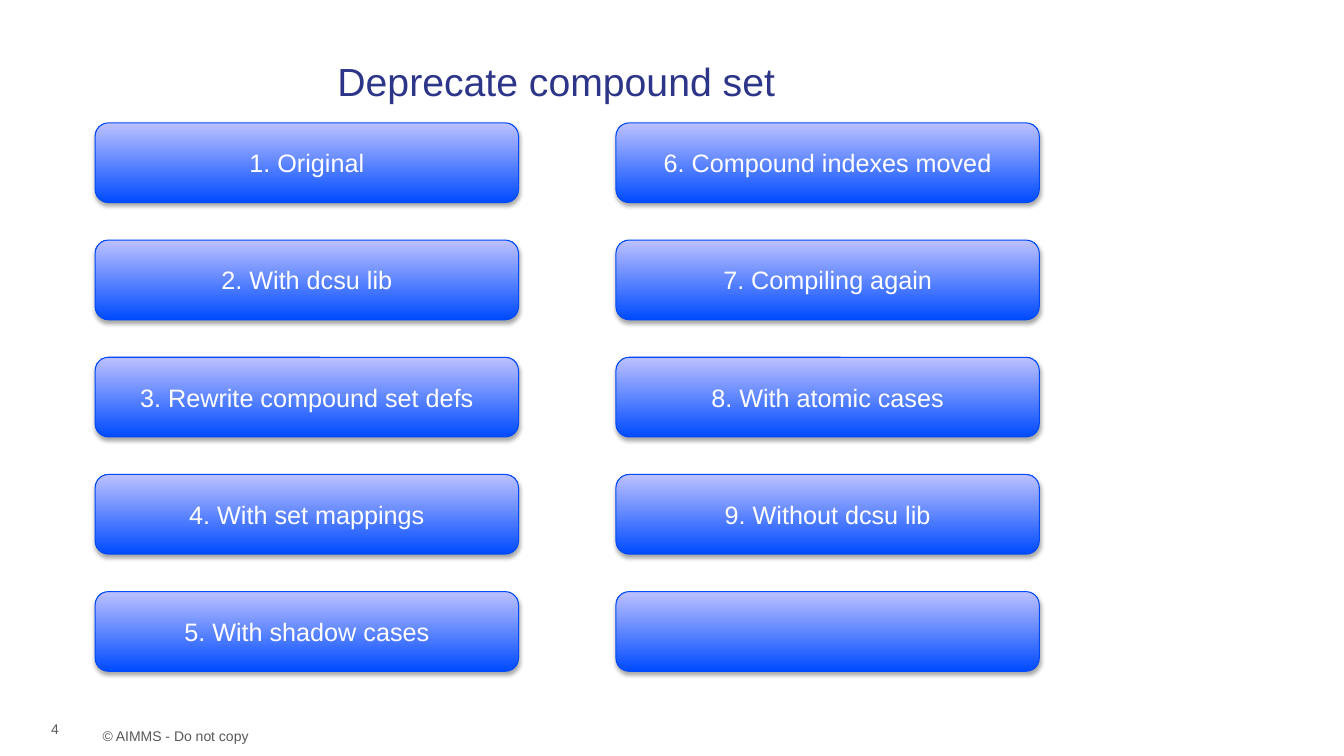
from dataclasses import dataclass

from lxml import etree
from pptx import Presentation
from pptx.dml.color import RGBColor
from pptx.enum.shapes import MSO_SHAPE
from pptx.enum.text import MSO_ANCHOR, PP_ALIGN
from pptx.oxml.ns import qn
from pptx.slide import Slide
from pptx.text.text import TextFrame
from pptx.util import Pt

ROUND = MSO_SHAPE.ROUNDED_RECTANGLE
TOP, MIDDLE, BOTTOM = MSO_ANCHOR.TOP, MSO_ANCHOR.MIDDLE, MSO_ANCHOR.BOTTOM
LEFT, CENTER = PP_ALIGN.LEFT, PP_ALIGN.CENTER


@dataclass(frozen=True)
class Theme:
    font: str = "Arial"
    title: str = "2D3589"
    note: str = "585858"
    label: str = "FFFFFF"
    deep: str = "004BFF"
    pale: str = "BDC1FF"
    edge: str = "0049F9"
    shade: str = "000000"
    title_size: float = 28
    label_size: float = 18
    note_size: float = 10


@dataclass(frozen=True)
class Box:
    left: float
    top: float
    width: float
    height: float


@dataclass(frozen=True)
class Label:
    text: str
    box: Box
    size: float
    color: str
    align: PP_ALIGN = LEFT
    anchor: MSO_ANCHOR = TOP
    inset: float = 3.6
    wrap: bool = True


THEME = Theme()
STEP_WIDTH, STEP_HEIGHT = 302.4, 56.9
FIRST_TOP, PITCH = 87.8, 83.7
COLUMNS = {
    68: (
        "1. Original",
        "2. With dcsu lib",
        "3. Rewrite compound set defs",
        "4. With set mappings",
        "5. With shadow cases",
    ),
    440: (
        "6. Compound indexes moved",
        "7. Compiling again",
        "8. With atomic cases",
        "9. Without dcsu lib",
        "",
    ),
}
LABELS = (
    Label("© AIMMS - Do not copy", Box(66.2, 516.2, 120.2, 19.4),
          THEME.note_size, THEME.note, wrap=False),
    Label("Deprecate compound set ", Box(67, 34.6, 668.2, 35.3),
          THEME.title_size, THEME.title, CENTER, inset=6.5),
    Label("4", Box(29.5, 501.1, 36.7, 28.8),
          THEME.note_size, THEME.note, anchor=BOTTOM),
)


def place(box: Box) -> tuple[Pt, Pt, Pt, Pt]:
    return Pt(box.left), Pt(box.top), Pt(box.width), Pt(box.height)


def write(frame: TextFrame, text: str, size: float, color: str,
          align: PP_ALIGN, anchor: MSO_ANCHOR) -> None:
    frame.vertical_anchor = anchor
    line = frame.paragraphs[0]
    line.alignment = align
    run = line.add_run()
    run.text = text
    run.font.name = THEME.font
    run.font.size = Pt(size)
    run.font.color.rgb = RGBColor.from_string(color)


def add_label(slide: Slide, label: Label) -> None:
    frame = slide.shapes.add_textbox(*place(label.box)).text_frame
    frame.word_wrap = label.wrap
    frame.margin_top = Pt(label.inset)
    write(frame, label.text, label.size, label.color, label.align, label.anchor)


def add_step(slide: Slide, text: str, box: Box) -> None:
    shape = slide.shapes.add_shape(ROUND, *place(box))
    shape.fill.gradient()
    shape.fill.gradient_angle = 90
    for stop, color in zip(shape.fill.gradient_stops, (THEME.deep, THEME.pale)):
        stop.color.rgb = RGBColor.from_string(color)
    shape.line.color.rgb = RGBColor.from_string(THEME.edge)
    shape.line.width = Pt(0.75)
    shape.shadow.inherit = False
    effects = shape._element.spPr.find(qn("a:effectLst"))
    shadow = etree.SubElement(
        effects, qn("a:outerShdw"), blurRad=str(Pt(3.1)), dist=str(Pt(1.8)),
        dir="5400000", rotWithShape="0")
    tint = etree.SubElement(shadow, qn("a:srgbClr"), val=THEME.shade)
    etree.SubElement(tint, qn("a:alpha"), val="35000")
    if text:
        write(shape.text_frame, text, THEME.label_size, THEME.label,
              CENTER, MIDDLE)


def main() -> None:
    deck = Presentation()
    deck.slide_width, deck.slide_height = Pt(960), Pt(540)
    slide = deck.slides.add_slide(deck.slide_layouts[6])
    for label in LABELS:
        add_label(slide, label)
    for left, steps in COLUMNS.items():
        for row, text in enumerate(steps):
            top = FIRST_TOP + row * PITCH
            add_step(slide, text, Box(left, top, STEP_WIDTH, STEP_HEIGHT))
    deck.save("out.pptx")


if __name__ == "__main__":
    main()
